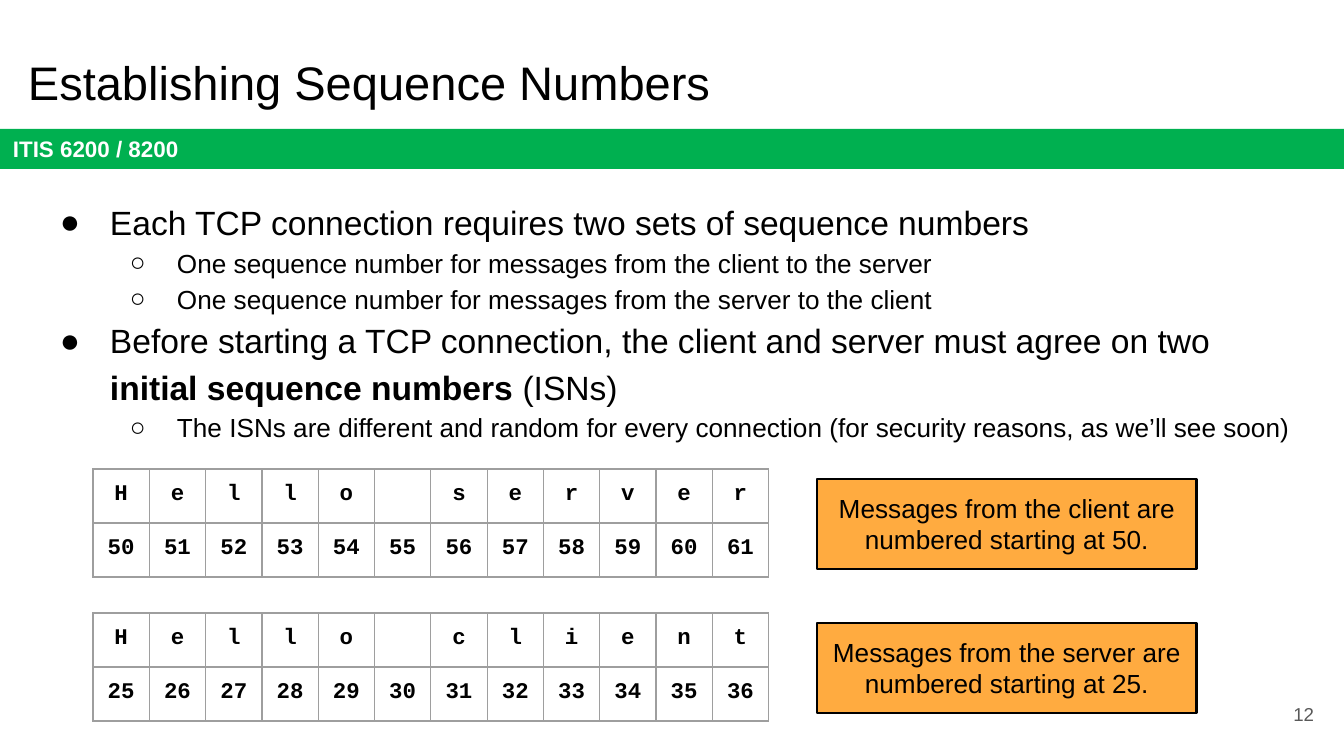
from lxml import etree
from pptx import Presentation, util as u
from pptx.dml import color
from pptx.enum import shapes, text
from pptx.oxml import ns

PIXEL = 914400 / 134.4
INSET = 13
COLORS = {"black": "000000", "white": "FFFFFF", "green": "00B050",
          "orange": "FFAB40", "grey": "595959", "border": "9E9E9E"}
ALIGN = text.PP_ALIGN
ANCHOR = text.MSO_ANCHOR


def px(value):
    return u.Emu(round(value * PIXEL))


def rgb(name):
    return color.RGBColor.from_string(COLORS[name])


def set_all(target, values):
    for name, value in values.items():
        setattr(target, name, value)


def add_run(paragraph, words, size, ink="black", bold=False, name="Arial"):
    run = paragraph.add_run()
    run.text = words
    set_all(run.font, {"size": u.Pt(size), "bold": bold, "name": name})
    run.font.color.rgb = rgb(ink)


def set_margins(target):
    sides = ("left", "top", "right", "bottom")
    set_all(target, {f"margin_{side}": px(INSET) for side in sides})


def prepare_frame(shape, anchor=ANCHOR.TOP):
    frame = shape.text_frame
    set_margins(frame)
    set_all(frame, {"word_wrap": True, "vertical_anchor": anchor})
    return frame


def add_label(slide, box, words, size, ink="black", align=ALIGN.LEFT,
              anchor=ANCHOR.TOP):
    frame = prepare_frame(slide.shapes.add_textbox(*map(px, box)), anchor)
    frame.paragraphs[0].alignment = align
    add_run(frame.paragraphs[0], words, size, ink)


def add_panel(slide, box, words, size, fill, ink="black", bold=False,
              align=ALIGN.LEFT, anchor=ANCHOR.TOP, outline=None):
    shape = slide.shapes.add_shape(shapes.MSO_SHAPE.RECTANGLE, *map(px, box))
    shape.shadow.inherit = False
    shape.fill.solid()
    shape.fill.fore_color.rgb = rgb(fill)
    if outline:
        shape.line.color.rgb = rgb(outline)
        shape.line.width = u.Pt(1.5)
    else:
        shape.line.fill.background()
    paragraph = prepare_frame(shape, anchor).paragraphs[0]
    paragraph.alignment = align
    add_run(paragraph, words, size, ink, bold)


# Bulleted body: each level has a text indent, hanging indent, size and mark
LEVELS = [(67, -50, 18, "●"), (134, -47, 14, "○")]


def add_bullets(slide, box, items):
    frame = prepare_frame(slide.shapes.add_textbox(*map(px, box)))
    for index, (level, parts) in enumerate(items):
        paragraph = frame.add_paragraph() if index else frame.paragraphs[0]
        set_all(paragraph, {"level": level, "line_spacing": 1.15})
        indent, hanging, size, mark = LEVELS[level]
        properties = paragraph._p.get_or_add_pPr()
        properties.set("marL", str(px(indent)))
        properties.set("indent", str(px(hanging)))
        bullet_color = etree.SubElement(properties, ns.qn("a:buClr"))
        etree.SubElement(bullet_color, ns.qn("a:srgbClr"), val=COLORS["black"])
        etree.SubElement(properties, ns.qn("a:buFont"), typeface="Arial")
        etree.SubElement(properties, ns.qn("a:buChar"), char=mark)
        for words, bold in parts:
            add_run(paragraph, words, size, bold=bold)


def add_borders(cell):
    properties = cell._tc.get_or_add_tcPr()
    for side in ("lnL", "lnR", "lnT", "lnB"):
        line = etree.SubElement(properties, ns.qn(f"a:{side}"),
                                w=str(u.Pt(0.75)))
        fill = etree.SubElement(line, ns.qn("a:solidFill"))
        etree.SubElement(fill, ns.qn("a:srgbClr"), val=COLORS["border"])


def fill_cell(cell, words):
    set_margins(cell)
    add_borders(cell)
    cell.fill.background()
    paragraph = cell.text_frame.paragraphs[0]
    paragraph.alignment = ALIGN.CENTER
    if words:
        add_run(paragraph, words, 12, bold=True, name="Courier New")
    else:  # keeps the empty cell from growing its row
        etree.SubElement(paragraph._p, ns.qn("a:endParaRPr"), sz="1200")


# Message row: letters above their sequence numbers, with a note beside them
def add_message(slide, box, message, start, note):
    left, top, width, height = box
    columns = len(message)
    frame = slide.shapes.add_table(2, columns, *map(px, box))
    table = frame.table
    set_all(table, {"first_row": False, "horz_banding": False})
    for column in table.columns:
        column.width = px(width / columns)
    for row in table.rows:
        row.height = px(height / 2)
    for index, letter in enumerate(message):
        fill_cell(table.cell(0, index), letter.strip())
        fill_cell(table.cell(1, index), str(start + index))
    add_panel(slide, (left + 724, top + 10, 380, 90), note, 14, "orange",
              align=ALIGN.CENTER, outline="black")


def add_header(slide, box, title, course):
    left, top, width, height = box
    add_panel(slide, (left, top + height - 40, width, 40), course, 12,
              "green", "white", bold=True, anchor=ANCHOR.MIDDLE)
    add_label(slide, (left + 15, top + 40, width - 91, 85), title, 25.2)


presentation = Presentation()
set_all(presentation, {"slide_width": px(1344), "slide_height": px(756)})
slide = presentation.slides.add_slide(presentation.slide_layouts[6])

add_header(slide, (0, 0, 1344, 169), "Establishing Sequence Numbers",
           "ITIS 6200 / 8200")
add_label(slide, (1246, 685, 81, 58), "12", 10, "grey", ALIGN.RIGHT,
          ANCHOR.MIDDLE)
add_bullets(slide, (30, 183, 1277, 300), [
    (0, [("Each TCP connection requires two sets of sequence numbers", False)]),
    (1, [("One sequence number for messages from the client to the server",
          False)]),
    (1, [("One sequence number for messages from the server to the client",
          False)]),
    (0, [("Before starting a TCP connection, the client and server must agree "
          "on two ", False),
         ("initial sequence numbers", True), (" (ISNs)", False)]),
    (1, [("The ISNs are different and random for every connection (for "
          "security reasons, as we’ll see soon)", False)]),
])

MESSAGES = [("Hello server", 50, "client"), ("Hello client", 25, "server")]
for index, (message, start, sender) in enumerate(MESSAGES):
    add_message(slide, (93, 469 + 144 * index, 676, 108), message, start,
                f"Messages from the {sender} are numbered starting at {start}.")

presentation.save("out.pptx")
